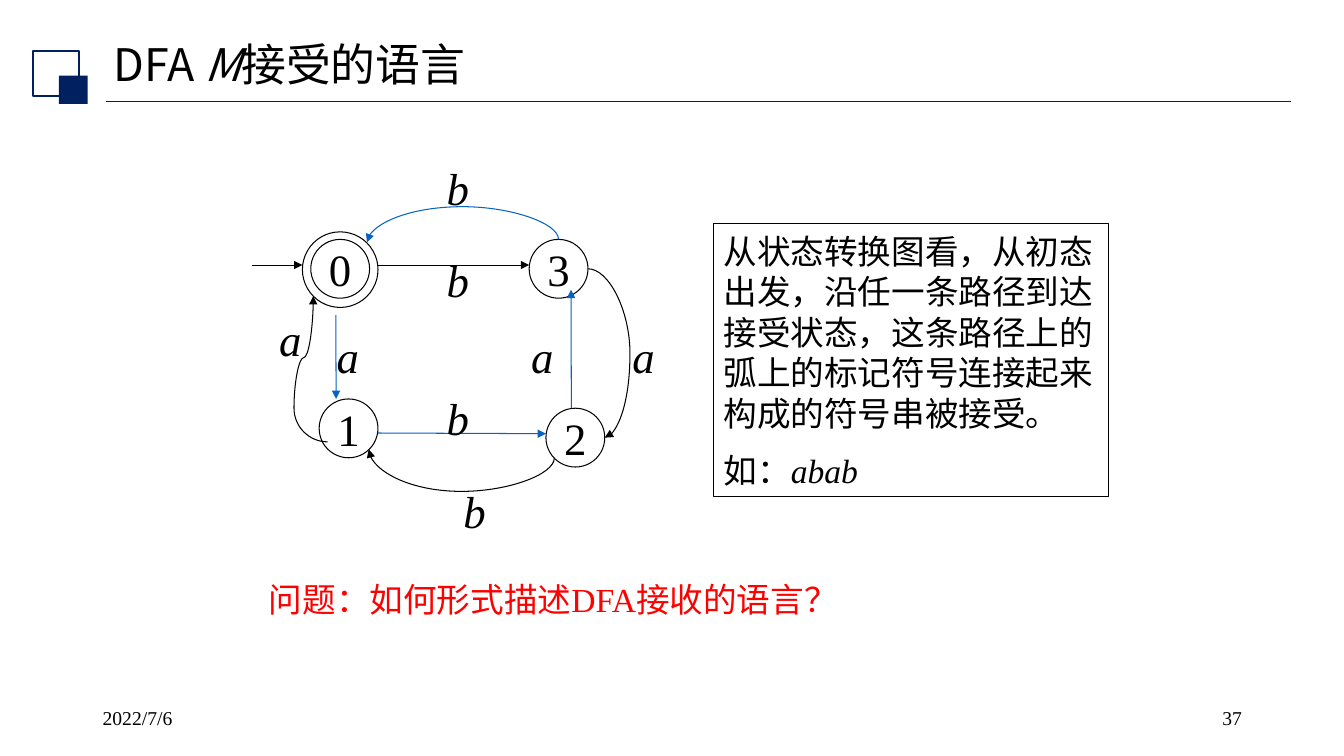
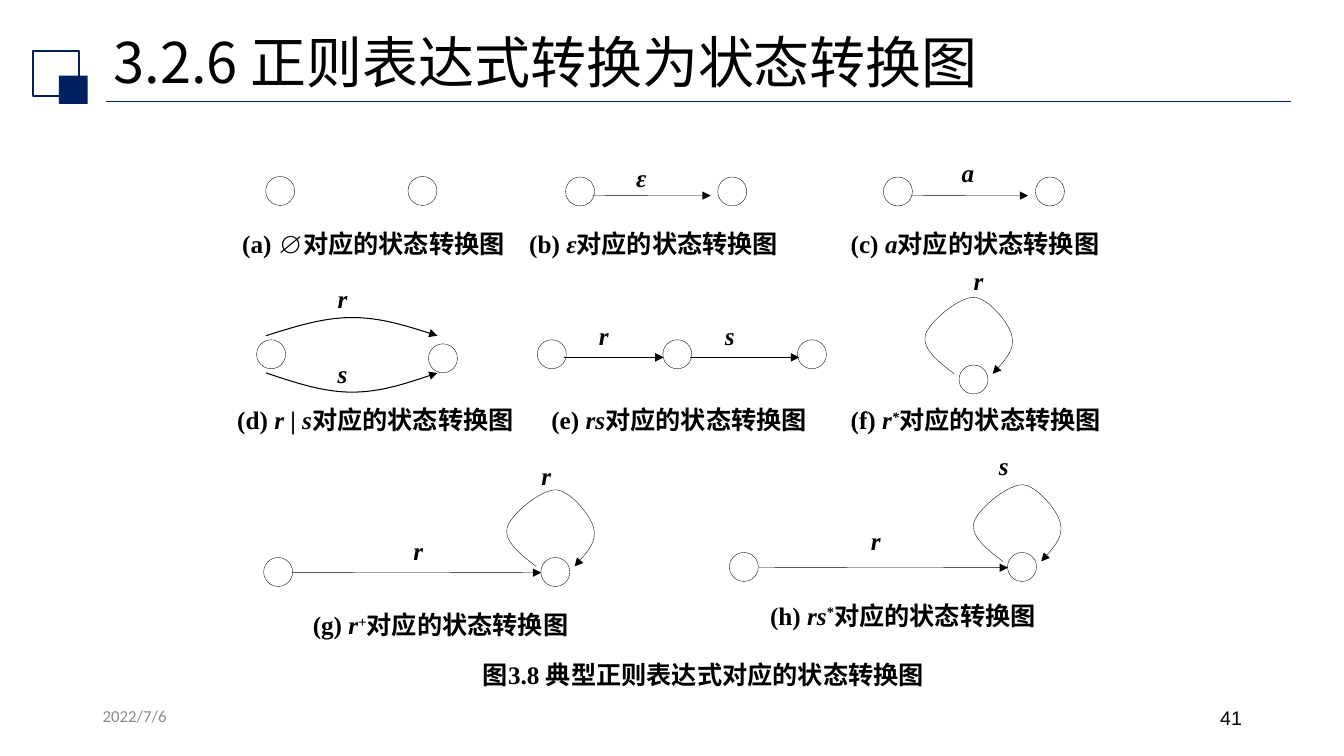
from dataclasses import dataclass

import pptx
import pptx.dml.color
import pptx.enum.shapes
import pptx.enum.text
import pptx.oxml.ns
import pptx.util

RGB = pptx.dml.color.RGBColor
SHAPE = pptx.enum.shapes.MSO_SHAPE
CONNECTOR = pptx.enum.shapes.MSO_CONNECTOR
ANCHOR = pptx.enum.text.MSO_ANCHOR
ALIGN = pptx.enum.text.PP_ALIGN
qn = pptx.oxml.ns.qn

NAVY = RGB(0x00, 0x20, 0x60)
BLUE = RGB(0x05, 0x63, 0xC1)
BLACK = RGB(0x00, 0x00, 0x00)
WHITE = RGB(0xFF, 0xFF, 0xFF)
RED = RGB(0xFF, 0x00, 0x00)
GRAY = RGB(0x8C, 0x8C, 0x8C)

SERIF = "Times New Roman"
CHINESE = "Noto Sans CJK SC"

# The slide is a grid of square cells, twelve to the inch.
COLUMNS, ROWS = 160, 90
CELL = pptx.util.Inches(1) // 12

THIN, FINE = 0.75, 0.25
STATE_SIZE = 7
NODE_SIZE = 3.45
TIGHT = (0.84, 0.36)
NOTE_LEADING = pptx.util.Pt(29)
CAPTION_LEADING = pptx.util.Pt(22)
SUFFIX = "对应的状态转换图"

Point = tuple[float, float]
Box = tuple[float, float, float, float]


@dataclass(frozen=True)
class Span:
    text: str
    italic: bool = False
    raised: bool = False


@dataclass(frozen=True)
class Footer:
    number: str
    date_font: str = SERIF
    date_size: float = 14
    date_color: RGB = BLACK
    number_font: str = SERIF


@dataclass(frozen=True)
class Arrow:
    start: Point
    end: Point
    color: RGB = BLACK


@dataclass(frozen=True)
class Bend:
    """A curved arrow that swings out to one row (or column) on its way."""
    start: Point
    end: Point
    reach: float
    sideways: bool = False
    color: RGB = BLACK


@dataclass(frozen=True)
class Label:
    text: str
    at: Point


@dataclass(frozen=True)
class Figure:
    caption: list[Span]
    caption_at: Point
    nodes: list[Point]
    labels: list[Label]
    arrows: list[Arrow]
    loop: bool = False


def cells(*lengths: float) -> list[int]:
    return [round(length * CELL) for length in lengths]


def write(shape, *paragraphs: list[Span], size: float, font: str = SERIF, color: RGB = BLACK,
          bold: bool = False, align=ALIGN.LEFT, anchor=ANCHOR.TOP, wrap: bool = True,
          margins: Point = (1.2, 0.6), spacing: float | pptx.util.Length = 1.0,
          gap: float = 0) -> None:
    frame = shape.text_frame
    frame.word_wrap = wrap
    frame.vertical_anchor = anchor
    frame.margin_left = frame.margin_right = cells(margins[0])[0]
    frame.margin_top = frame.margin_bottom = cells(margins[1])[0]
    for index, spans in enumerate(paragraphs):
        para = frame.add_paragraph() if index else frame.paragraphs[0]
        para.alignment = align
        para.line_spacing = spacing
        para.space_before = pptx.util.Pt(gap if index else 0)
        for span in spans:
            run = para.add_run()
            run.text = span.text
            run.font.name = font
            run.font.size = pptx.util.Pt(size)
            run.font.bold = bold
            run.font.italic = span.italic
            run.font.color.rgb = color
            properties = run.font._element
            east_asian = properties.makeelement(qn("a:ea"), {"typeface": CHINESE})
            properties.find(qn("a:latin")).addnext(east_asian)
            if span.raised:
                properties.set("baseline", "30000")


def add_text(page, box: Box, *paragraphs: list[Span], **style) -> None:
    write(page.shapes.add_textbox(*cells(*box)), *paragraphs, **style)


def add_shape(page, kind, box: Box, fill: RGB | None = None, line: RGB | None = BLACK,
              width: float = THIN):
    shape = page.shapes.add_shape(kind, *cells(*box))
    shape.shadow.inherit = False
    if fill is None:
        shape.fill.background()
    else:
        shape.fill.solid()
        shape.fill.fore_color.rgb = fill
    if line is None:
        shape.line.fill.background()
    else:
        shape.line.color.rgb = line
        shape.line.width = pptx.util.Pt(width)
    return shape


def add_arrowhead(shape) -> None:
    line = shape.line._get_or_add_ln()
    line.append(line.makeelement(qn("a:tailEnd"), {"type": "triangle"}))


def add_line(page, start: Point, end: Point, color: RGB = BLACK, width: float = THIN,
             arrow: bool = True, kind=CONNECTOR.STRAIGHT):
    line = page.shapes.add_connector(kind, *cells(*start, *end))
    line.line.color.rgb = color
    line.line.width = pptx.util.Pt(width)
    if arrow:
        add_arrowhead(line)
    properties = line._element.spPr
    properties.append(properties.makeelement(qn("a:effectLst"), {}))
    return line


def add_bend(page, bend: Bend) -> None:
    """Draw a curved connector; one that leaves vertically is turned by 270 degrees."""
    (x1, y1), (x2, y2) = bend.start, bend.end
    axis = 0 if bend.sideways else 1
    along = bend.end[axis] - bend.start[axis]
    flips = {"flipH": x2 < x1, "flipV": y2 < y1}
    width, height = abs(x2 - x1), abs(y2 - y1)
    if not bend.sideways:
        flips = {"flipH": y2 > y1, "flipV": x2 < x1}
        width, height = height, width
    left, top = (x1 + x2 - width) / 2, (y1 + y2 - height) / 2
    line = add_line(page, (left, top), (left + width, top + height), bend.color,
                    kind=CONNECTOR.CURVE)
    frame = line._element.spPr.find(qn("a:xfrm"))
    if not bend.sideways:
        frame.set("rot", str(270 * 60000))
    for name, flipped in flips.items():
        if flipped:
            frame.set(name, "1")
    adjust = round((bend.reach - bend.start[axis]) / along * 100000)
    guides = line._element.spPr.find(qn("a:prstGeom")).get_or_add_avLst()
    guides.append(guides.makeelement(qn("a:gd"), {"name": "adj1", "fmla": f"val {adjust}"}))


def add_curve(page, points: list[Point], width: float = THIN, arrow: bool = True) -> None:
    """Draw Bézier pieces: a start, then two controls and an end for each piece."""
    start, *rest = [cells(*point) for point in points]
    builder = page.shapes.build_freeform(*start)
    builder.add_line_segments(rest, close=False)
    shape = builder.convert_to_shape()
    shape.shadow.inherit = False
    shape.fill.background()
    shape.line.color.rgb = BLACK
    shape.line.width = pptx.util.Pt(width)
    if arrow:
        add_arrowhead(shape)
    outline = next(shape._element.iter(qn("a:path")))
    steps = outline.findall(qn("a:lnTo"))
    for first in range(0, len(steps), 3):
        piece = outline.makeelement(qn("a:cubicBezTo"), {})
        outline.append(piece)
        for step in steps[first:first + 3]:
            piece.append(step[0])
            outline.remove(step)


def add_frame(deck, title: list[Span], title_size: float, anchor, footer: Footer):
    """Add a page with the title, its emblem and rule, the date and the number."""
    page = deck.slides.add_slide(deck.slide_layouts[6])
    add_line(page, (12.6, 12.08), (153.72, 12.08), NAVY, 1.25, arrow=False)
    add_shape(page, SHAPE.RECTANGLE, (3.96, 6.08, 5.4, 5.4), line=NAVY, width=1.5)
    add_shape(page, SHAPE.RECTANGLE, (7, 9, 3.44, 3.36), fill=NAVY, line=None)
    add_text(page, (12.36, 4.08, 138, 7.32), title, size=title_size, font=CHINESE,
             anchor=anchor, spacing=0.9)
    add_text(page, (11.04, 83.4, 36, 4.8), [Span("2022/7/6")], size=footer.date_size,
             font=footer.date_font, color=footer.date_color)
    add_text(page, (113.04, 83.4, 36, 4.8), [Span(footer.number)], size=14,
             font=footer.number_font, align=ALIGN.RIGHT)
    return page


def add_language_page(deck) -> None:
    title = [Span("DFA "), Span("M", italic=True), Span("接受的语言")]
    page = add_frame(deck, title, 32, ANCHOR.BOTTOM, Footer("37"))

    note = add_shape(page, SHAPE.RECTANGLE, (84.96, 26.64, 47.04, 32.52), fill=WHITE)
    write(note,
          [Span("从状态转换图看，从初态出发，沿任一条路径到达接受状态，"
                "这条路径上的弧上的标记符号连接起来构成的符号串被接受。")],
          [Span("如："), Span("abab", italic=True)],
          size=24, anchor=ANCHOR.MIDDLE, spacing=NOTE_LEADING, gap=12)

    add_shape(page, SHAPE.OVAL, (36, 27.6, 9, 9), fill=WHITE)
    for number, corner in enumerate([(37, 28.5), (38, 47.5), (65, 48.6), (63, 28.5)]):
        state = add_shape(page, SHAPE.OVAL, (*corner, STATE_SIZE, STATE_SIZE), fill=WHITE)
        write(state, [Span(str(number))], size=32, align=ALIGN.CENTER,
              anchor=ANCHOR.MIDDLE, wrap=False)

    for arrow in [Arrow((30, 31.55), (36, 31.55)), Arrow((45, 31.55), (63, 31.55)),
                  Arrow((39.98, 37.5), (40.02, 47.5), BLUE),
                  Arrow((45, 51.55), (65, 51.63), BLUE),
                  Arrow((68.02, 48.6), (67.98, 34.5), BLUE)]:
        add_line(page, arrow.start, arrow.end, arrow.color)
    for bend in [Bend((66, 54.5), (43.9, 53.5), 58.5),
                 Bend((70, 32), (72, 52.1), 75, sideways=True),
                 Bend((66.5, 28.5), (43.7, 28.85), 24.6, color=BLUE),
                 Bend((35, 48.6), (37.3, 35.25), 42.58)]:
        add_bend(page, bend)
    add_curve(page, [(39, 52.6), (36.8, 52.6), (35, 50.8), (35, 48.6)], arrow=False)

    for label in [Label("a", (32.05, 36.5)), Label("a", (38.9, 38.5)), Label("a", (62.05, 38.5)),
                  Label("a", (74.1, 38.5)), Label("b", (52, 45.9)), Label("b", (54, 57)),
                  Label("b", (52, 29.5)), Label("b", (52, 18.5))]:
        add_text(page, (*label.at, 5, 7.6), [Span(label.text, italic=True)], size=32,
                 align=ALIGN.CENTER, anchor=ANCHOR.MIDDLE, wrap=False)
    add_text(page, (30.84, 68.28, 70.92, 6.12), [Span("问题：如何形式描述DFA接收的语言？")],
             size=24, color=RED, spacing=NOTE_LEADING)


FIGURES = [
    Figure([Span("(a) ∅")], (28, 26.76), [(33.36, 22.74), (50.3, 22.74)], [], []),
    Figure([Span("(b) "), Span("ε", True)], (62.16, 26.76), [(69.06, 22.8), (87.18, 22.8)],
           [Label("ε", (74.88, 18.96))], [Arrow((70.56, 23.25), (84.6, 23.29))]),
    Figure([Span("(c) "), Span("a", True)], (100.44, 26.76), [(106.9, 22.8), (125, 22.8)],
           [Label("a", (113.64, 18.36))], [Arrow((108.48, 23.25), (122.4, 23.29))]),
    Figure([Span("(d)"), Span(" r", True), Span(" | "), Span("s", True)], (27.4, 47.76),
           [(32.28, 42.18), (52.74, 42.66)],
           [Label("r", (39.36, 33.36)), Label("s", (39.36, 42.24))], []),
    Figure([Span("(e) "), Span("rs", True)], (64.8, 47.76),
           [(65.7, 42.18), (80.64, 42.18), (96.66, 42.18)],
           [Label("r", (70.44, 37.8)), Label("s", (85.44, 37.8))],
           [Arrow((67.2, 42.55), (79, 42.55)), Arrow((82.2, 42.55), (95.16, 42.55))]),
    Figure([Span("(f) "), Span("r", True), Span("*", True, raised=True)], (100.44, 47.76),
           [(115.9, 45.18)], [Label("r", (115.08, 31.2))], [], loop=True),
    Figure([Span("(g) "), Span("r", True), Span("+", raised=True)], (36.4, 72.12),
           [(33.12, 68.1), (66.12, 68.1)],
           [Label("r", (48.36, 63.36)), Label("r", (63.6, 54.48))],
           [Arrow((34.8, 68.14), (64.44, 68.18))], loop=True),
    Figure([Span("(h)"), Span(" rs", True), Span("*", raised=True)], (90.84, 71.04),
           [(88.56, 67.5), (121.68, 67.5)],
           [Label("r", (102.84, 62.16)), Label("s", (118.08, 53.28))],
           [Arrow((90.36, 67.54), (120, 67.58))], loop=True),
]

# Offsets from the centre of the node that the loop returns to.
LOOP = [(-2.28, -0.66), (-4.2, -2.1), (-6.12, -3.66), (-5.76, -5.22), (-5.4, -6.78),
        (-1.8, -9.78), (0, -9.78), (1.68, -9.78), (4.2, -6.78), (4.56, -5.22),
        (4.92, -3.66), (3.6, -2.1), (2.28, -0.66)]


def add_figure(page, figure: Figure) -> None:
    for x, y in figure.nodes:
        add_shape(page, SHAPE.OVAL, (x - NODE_SIZE / 2, y - NODE_SIZE / 2, NODE_SIZE, NODE_SIZE),
                  width=FINE)
    for arrow in figure.arrows:
        add_line(page, arrow.start, arrow.end, arrow.color, FINE)
    if figure.loop:
        x, y = figure.nodes[-1]
        add_curve(page, [(x + dx, y + dy) for dx, dy in LOOP], FINE)
    for label in figure.labels:
        add_text(page, (*label.at, 5.4, 5), [Span(label.text, italic=True)], size=18,
                 bold=True, margins=TIGHT)
    add_text(page, (*figure.caption_at, 37, 4.68), [*figure.caption, Span(SUFFIX)], size=18,
             bold=True, margins=TIGHT, wrap=False, spacing=CAPTION_LEADING)


def add_diagrams_page(deck) -> None:
    page = add_frame(deck, [Span("3.2.6 正则表达式转换为状态转换图")], 40, ANCHOR.MIDDLE,
                     Footer("41", "Calibri", 12, GRAY, "Arial"))
    for figure in FIGURES:
        add_figure(page, figure)
    for base, rise in [(39.96, -2.16), (44.4, 2.28)]:
        add_curve(page, [(31.68, base), (35.1, base + rise / 2), (38.5, base + rise),
                         (41.88, base + rise), (45.26, base + rise), (48.66, base + rise / 2),
                         (52.08, base)])
    add_text(page, (56.64, 78.12, 60, 4.68), [Span("图3.8 典型正则表达式对应的状态转换图")],
             size=18, bold=True, margins=TIGHT, wrap=False, spacing=CAPTION_LEADING)


def main() -> None:
    deck = pptx.Presentation()
    deck.slide_width, deck.slide_height = cells(COLUMNS, ROWS)
    add_language_page(deck)
    add_diagrams_page(deck)
    deck.save("out.pptx")


if __name__ == "__main__":
    main()
